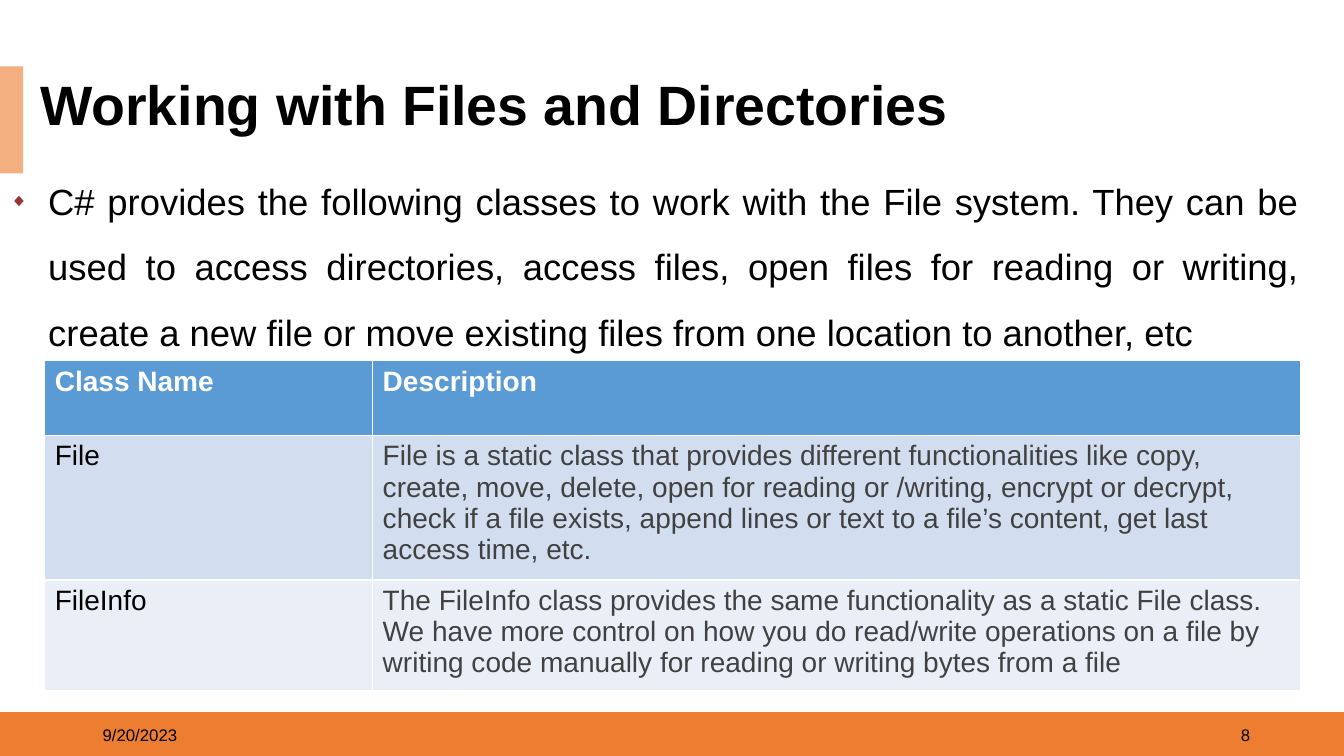
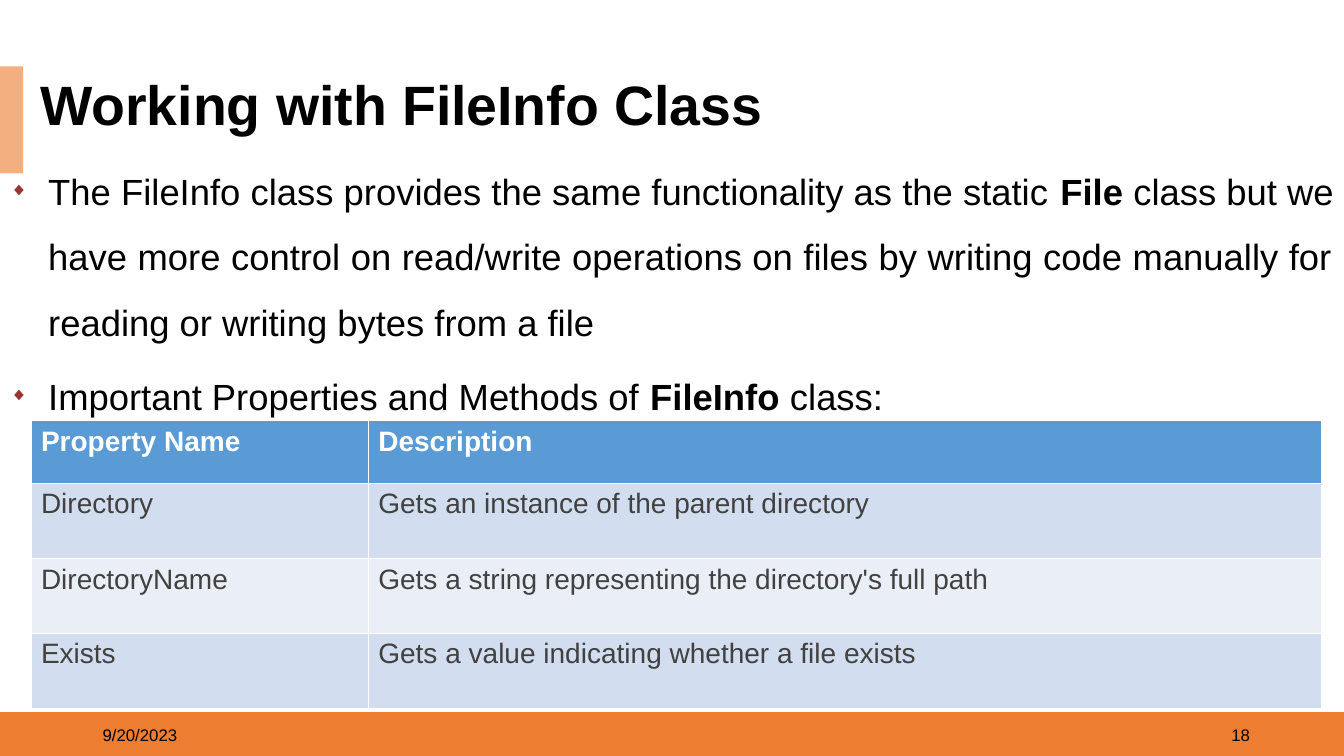
from dataclasses import dataclass
from typing import NamedTuple

from lxml.etree import SubElement
from pptx import Presentation
from pptx.dml.color import RGBColor
from pptx.enum.shapes import MSO_SHAPE as Preset
from pptx.enum.text import MSO_ANCHOR as Anchor, PP_ALIGN as Align
from pptx.oxml.ns import qn
from pptx.slide import Slide
from pptx.util import Emu, Inches, Pt

FONT = "Arial"
WIDTH, HEIGHT = Inches(13.33), Inches(7.5)

BLACK, WHITE, GREY = "000000", "FFFFFF", "414141"
BAND, TITLE_MARK, BULLET = "ED7D31", "F4AF80", "973735"
HEADER_FILL, ROW_FILLS = "5B9BD5", ("D2DEEF", "EAEFF7")


class Box(NamedTuple):
    """Left, top, width and height as percentages of the slide."""
    left: float
    top: float
    width: float
    height: float


class Run(NamedTuple):
    text: str
    bold: bool = False


@dataclass(frozen=True)
class ClassTable:
    """Column widths and row heights are percentages of the slide."""
    left: float
    top: float
    columns: tuple[float, ...]
    heights: tuple[float, ...]
    rows: tuple[tuple[str, ...], ...]
    name_color: str = GREY


@dataclass(frozen=True)
class Topic:
    title: str
    number: str
    points_box: Box
    points: tuple[tuple[Run, ...], ...]
    spacing: float
    table: ClassTable


TITLE_BOX = Box(2.25, 10, 75, 8.4)
BAND_BOX = Box(0, 94.2, 100, 5.8)
MARK_BOX = Box(0, 8.8, 1.73, 14.13)
DATE_BOX = Box(6.9, 94.53, 22.5, 5.33)
NUMBER_BOX = Box(71.25, 94.53, 22.5, 5.33)

TOPICS = (
    Topic(
        "Working with Files and Directories", "8",
        Box(0, 20.13, 97.5, 26.5),
        ((Run("C# provides the following classes to work with the File system. "
              "They can be used to access directories, access files, open files "
              "for reading or writing, create a new file or move existing files "
              "from one location to another, etc"),),),
        12,
        ClassTable(
            3.33, 47.73, (24.4, 69.05), (9.87, 19.07, 14.67),
            (("Class Name", "Description"),
             ("File",
              "File is a static class that provides different functionalities "
              "like copy, create, move, delete, open for reading or /writing, "
              "encrypt or decrypt, check if a file exists, append lines or text "
              "to a file’s content, get last access time, etc."),
             ("FileInfo",
              "The FileInfo class provides the same functionality as a static "
              "File class. We have more control on how you do read/write "
              "operations on a file by writing code manually for reading or "
              "writing bytes from a file")),
            name_color=BLACK),
    ),
    Topic(
        "Working with FileInfo Class", "18",
        Box(0, 18.8, 100, 36.4),
        ((Run("The FileInfo class provides the same functionality as the static "),
          Run("File", True),
          Run(" class but we have more control on read/write operations on files "
              "by writing code manually for reading or writing bytes from a file")),
         (Run("Important Properties and Methods of "),
          Run("FileInfo ", True),
          Run("class:"))),
        3,
        ClassTable(
            2.3, 55.65, (25.1, 70.9), (8.27, 10, 9.87, 10),
            (("Property Name", "Description"),
             ("Directory", "Gets an instance of the parent directory"),
             ("DirectoryName",
              "Gets a string representing the directory's full path"),
             ("Exists", "Gets a value indicating whether a file exists"))),
    ),
)


def rgb(color: str) -> RGBColor:
    return RGBColor.from_string(color)


def across(percent: float) -> Emu:
    return Emu(round(WIDTH * percent / 100))


def down(percent: float) -> Emu:
    return Emu(round(HEIGHT * percent / 100))


def place(box: Box) -> tuple[Emu, Emu, Emu, Emu]:
    return across(box.left), down(box.top), across(box.width), down(box.height)


def style(paragraph, size: float, color: str = BLACK, bold: bool = False) -> None:
    font = paragraph.font
    font.name, font.size, font.bold = FONT, Pt(size), bold
    font.color.rgb = rgb(color)


def add_block(slide: Slide, box: Box, color: str) -> None:
    block = slide.shapes.add_shape(Preset.RECTANGLE, *place(box))
    block.shadow.inherit = False
    block.fill.solid()
    block.fill.fore_color.rgb = rgb(color)
    block.line.fill.background()


def add_frame(slide: Slide, box: Box, anchor: Anchor):
    frame = slide.shapes.add_textbox(*place(box)).text_frame
    frame.word_wrap = True
    frame.vertical_anchor = anchor
    return frame


def add_label(slide: Slide, box: Box, text: str, size: float,
              bold: bool = False, align: Align = Align.LEFT):
    label = add_frame(slide, box, Anchor.MIDDLE).paragraphs[0]
    label.text = text
    label.alignment = align
    style(label, size, bold=bold)
    return label


def add_bullet(paragraph) -> None:
    """Hang the paragraph behind a small red diamond."""
    properties = paragraph._p.get_or_add_pPr()
    indent = Inches(0.38)
    properties.set("marL", str(indent))
    properties.set("indent", str(-indent))
    color = SubElement(properties, qn("a:buClr"))
    SubElement(color, qn("a:srgbClr"), val=BULLET)
    SubElement(properties, qn("a:buSzPct"), val="50000")
    SubElement(properties, qn("a:buFont"), typeface=FONT)
    SubElement(properties, qn("a:buChar"), char="◆")


def add_points(slide: Slide, topic: Topic) -> None:
    frame = add_frame(slide, topic.points_box, Anchor.TOP)
    for index, runs in enumerate(topic.points):
        point = frame.add_paragraph() if index else frame.paragraphs[0]
        point.alignment = Align.JUSTIFY
        point.line_spacing = 1.5
        point.space_before = point.space_after = Pt(topic.spacing)
        add_bullet(point)
        style(point, 26)
        for part in runs:
            run = point.add_run()
            run.text = part.text
            if part.bold:
                run.font.bold = True


def add_class_table(slide: Slide, content: ClassTable) -> None:
    box = Box(content.left, content.top, sum(content.columns), sum(content.heights))
    table = slide.shapes.add_table(
        len(content.heights), len(content.columns), *place(box)).table
    for column, width in zip(table.columns, content.columns):
        column.width = across(width)
    for row, height in zip(table.rows, content.heights):
        row.height = down(height)
    for r, texts in enumerate(content.rows):
        header = r == 0
        fill = HEADER_FILL if header else ROW_FILLS[(r - 1) % 2]
        for c, text in enumerate(texts):
            cell = table.cell(r, c)
            cell.fill.solid()
            cell.fill.fore_color.rgb = rgb(fill)
            cell.text = text
            body_color = GREY if c else content.name_color
            style(cell.text_frame.paragraphs[0], 20,
                  WHITE if header else body_color, bold=header)


def add_topic(slide: Slide, topic: Topic) -> None:
    add_block(slide, BAND_BOX, BAND)
    add_block(slide, MARK_BOX, TITLE_MARK)
    title = add_label(slide, TITLE_BOX, topic.title, 39.6, bold=True)
    title.line_spacing = 0.9
    add_label(slide, DATE_BOX, "9/20/2023", 12)
    add_label(slide, NUMBER_BOX, topic.number, 12, align=Align.RIGHT)
    add_points(slide, topic)
    add_class_table(slide, topic.table)


def main() -> None:
    deck = Presentation()
    deck.slide_width, deck.slide_height = WIDTH, HEIGHT
    blank = deck.slide_layouts[6]
    for topic in TOPICS:
        add_topic(deck.slides.add_slide(blank), topic)
    deck.save("out.pptx")


if __name__ == "__main__":
    main()
